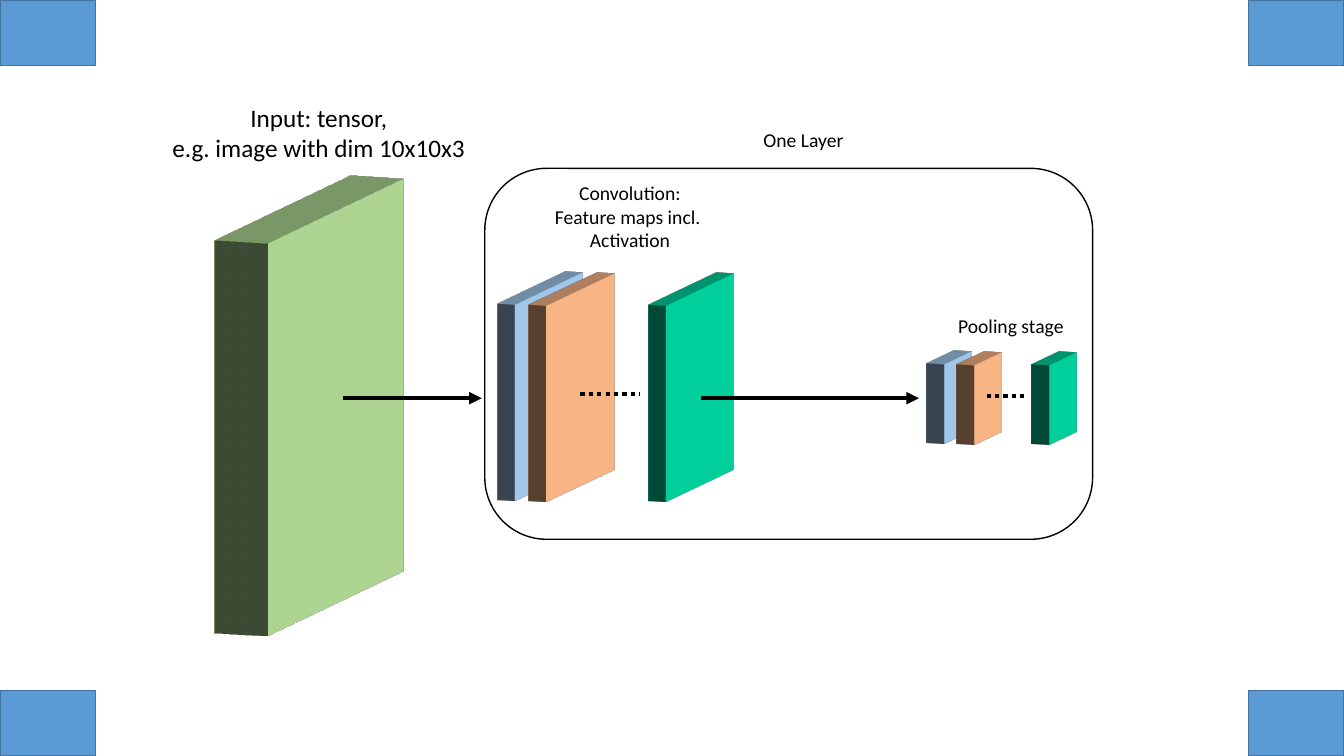
from dataclasses import dataclass
from itertools import product

from lxml.etree import SubElement
from pptx import Presentation
from pptx.dml.color import RGBColor as Rgb
from pptx.enum.dml import MSO_LINE as Dash
from pptx.enum.shapes import MSO_CONNECTOR as Conn, MSO_SHAPE as Kind
from pptx.enum.text import MSO_ANCHOR as Anchor, MSO_AUTO_SIZE as Fit, PP_ALIGN as Align
from pptx.oxml.ns import qn
from pptx.util import Inches, Pt

COLS, ROWS = 160, 90
CELL = Inches(1) / 12
DEGREE = 60000
FONT = "Calibri"
HUES = {"ink": "000000", "corner": "5B9BD5", "edge": "43739E", "input": "A9D18E",
        "blue": "9DC3E6", "orange": "F4B183", "green": "00CC99"}


@dataclass
class Slab:
    """A solid plate: place and size of its square, and its depth."""
    col: float
    row: float
    size: float
    depth: float
    hue: str


@dataclass
class Link:
    """A level line, either an arrow or a dotted gap."""
    left: float
    right: float
    row: float
    arrow: bool


@dataclass
class Label:
    """Centred text; each paragraph is a list of its lines."""
    col: float
    row: float
    high: float
    size: int
    paras: list[list[str]]


SLABS = [
    Slab(16.32, 24.84, 47.28, 6.75, "input"),
    Slab(53.52, 34.2, 23.64, 2.25, "blue"),
    Slab(57.24, 34.32, 23.64, 2.25, "orange"),
    Slab(71.52, 34.32, 23.64, 2.25, "green"),
    Slab(109.32, 42.6, 9.48, 2.25, "blue"),
    Slab(112.92, 42.72, 9.48, 2.25, "orange"),
    Slab(121.8, 42.72, 9.48, 2.25, "green"),
]
LINKS = [
    Link(40.85, 57.36, 47.4, True),
    Link(69.1, 76.2, 46.9, False),
    Link(83.4, 109.4, 47.4, True),
    Link(117.45, 122.15, 47.15, False),
]
LABELS = [
    Label(19.1, 11.55, 8.5, 18, [["Input: tensor,"], ["e.g. image with dim 10x10x3"]]),
    Label(56.15, 20.95, 9.7, 14, [["Convolution:", "Feature maps incl. "], ["Activation"]]),
    Label(101.5, 36.75, 4.1, 14, [["Pooling stage"]]),
    Label(76.8, 14.6, 4.1, 14, [["One Layer"]]),
]


def grid(*cells: float) -> list[int]:
    """Turn grid cells into slide lengths."""
    return [round(cell * CELL) for cell in cells]


def tint(hue: str) -> Rgb:
    """Give a named colour."""
    return Rgb.from_string(HUES[hue])


def add_box(kind: Kind, area: tuple, fill: str = "", edge: str = ""):
    """Draw a preset shape with an optional fill and thin edge."""
    box = slide.shapes.add_shape(kind, *grid(*area))
    box.shadow.inherit = False
    if fill:
        box.fill.solid()
        box.fill.fore_color.rgb = tint(fill)
    else:
        box.fill.background()
    if edge:
        box.line.color.rgb = tint(edge)
        box.line.width = Pt(1)
    else:
        box.line.fill.background()
    return box


def add_slab(slab: Slab) -> None:
    """Draw a square turned in space and give it depth."""
    area = (slab.col, slab.row, slab.size, slab.size)
    props = add_box(Kind.RECTANGLE, area, slab.hue)._element.spPr
    scene = SubElement(props, qn("a:scene3d"))
    view = SubElement(scene, qn("a:camera"), prst="orthographicFront")
    SubElement(view, qn("a:rot"), lat=str(10 * DEGREE), lon=str(290 * DEGREE), rev="0")
    SubElement(scene, qn("a:lightRig"), rig="threePt", dir="t")
    SubElement(props, qn("a:sp3d"), extrusionH=str(grid(slab.depth)[0]))


def add_link(link: Link) -> None:
    """Draw an arrow or a dotted line."""
    line = slide.shapes.add_connector(
        Conn.STRAIGHT, *grid(link.left, link.row, link.right, link.row))
    line.line.color.rgb = tint("ink")
    line.line.width = Pt(3)
    props = line._element.spPr
    if link.arrow:
        SubElement(props.find(qn("a:ln")), qn("a:tailEnd"), type="triangle")
    else:
        line.line.dash_style = Dash.ROUND_DOT
    SubElement(props, qn("a:effectLst"))


def add_label(label: Label) -> None:
    """Write a centred label run by run."""
    box = slide.shapes.add_textbox(*grid(label.col, label.row, 37.7, label.high))
    frame = box.text_frame
    frame.word_wrap = True
    frame.auto_size = Fit.SHAPE_TO_FIT_TEXT
    frame.vertical_anchor = Anchor.TOP
    for num, lines in enumerate(label.paras):
        para = frame.add_paragraph() if num else frame.paragraphs[0]
        para.alignment = Align.CENTER
        for pos, text in enumerate(lines):
            if pos:
                para.add_line_break()
            run = para.add_run()
            run.text = text
            run.font.name = FONT
            run.font.size = Pt(label.size)
            run.font.color.rgb = tint("ink")


deck = Presentation()
deck.slide_width, deck.slide_height = grid(COLS, ROWS)
slide = deck.slides.add_slide(deck.slide_layouts[6])

add_box(Kind.ROUNDED_RECTANGLE, (57.72, 20.04, 72.36, 44.16), edge="ink")
wide, high = 11.4, 7.8
for row, col in product((ROWS - high, 0), (0, COLS - wide)):
    add_box(Kind.RECTANGLE, (col, row, wide, high), "corner", "edge")
for draw, items in ((add_slab, SLABS), (add_link, LINKS), (add_label, LABELS)):
    for item in items:
        draw(item)

deck.save("out.pptx")
